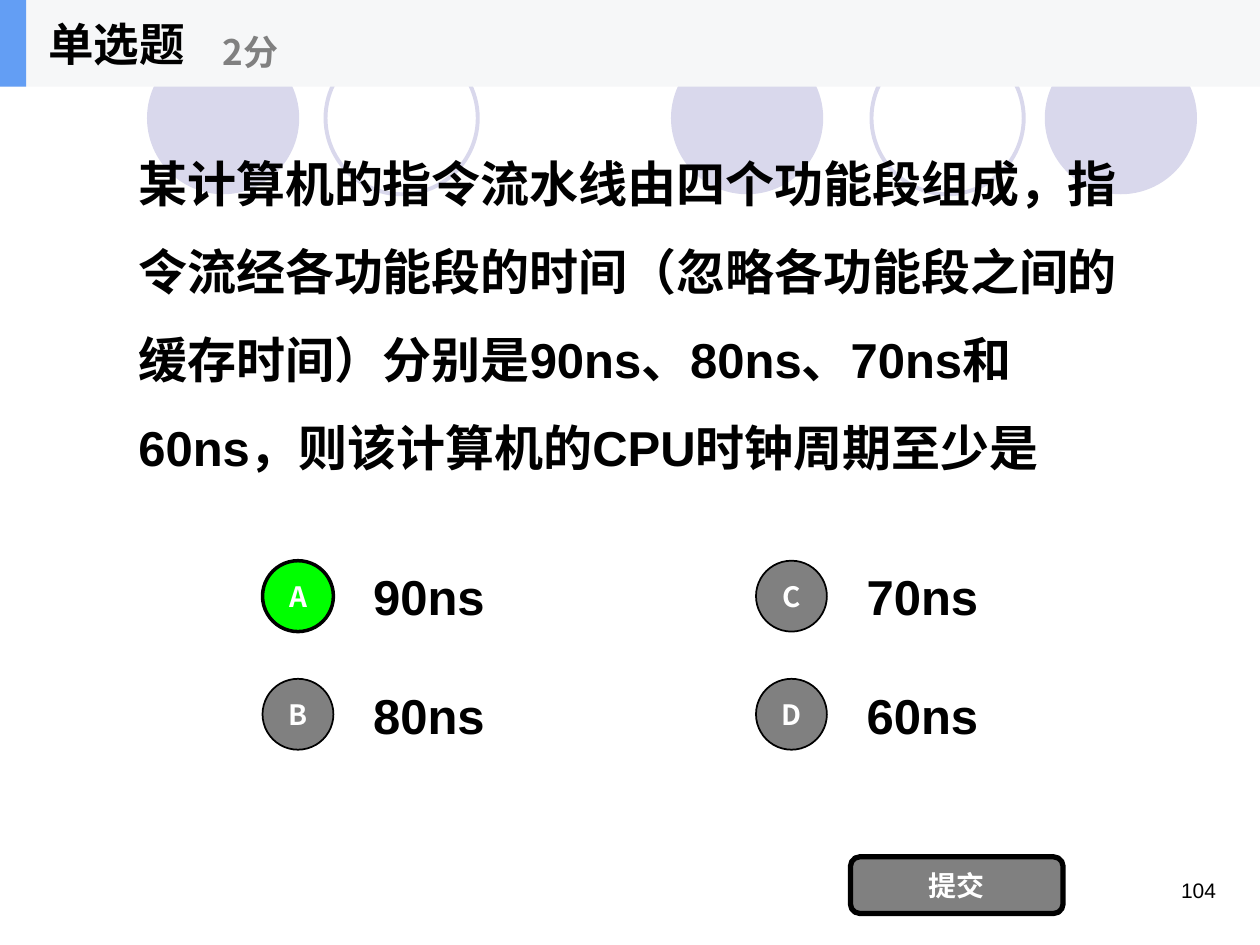
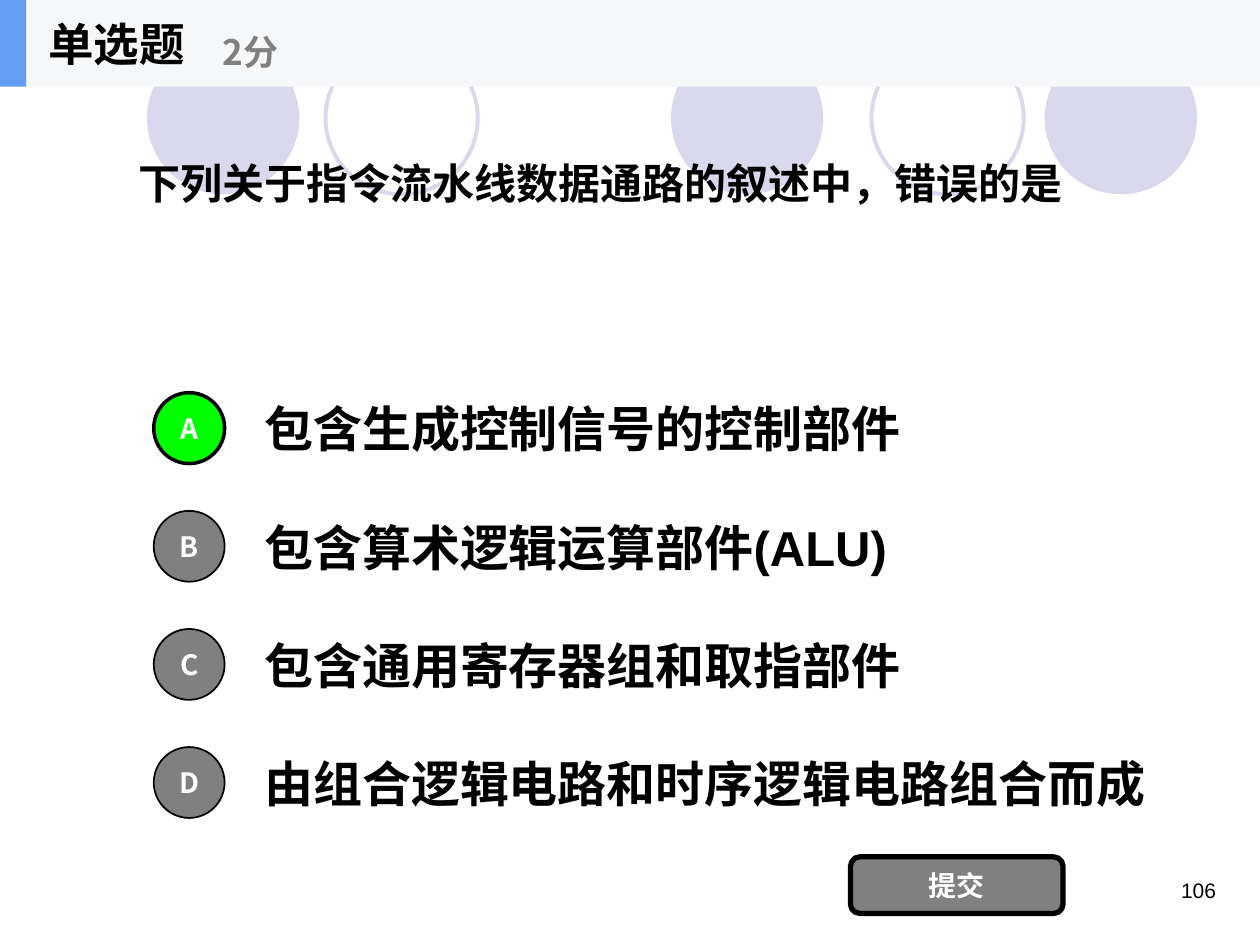
from lxml import etree
from pptx import Presentation
from pptx import util as u
from pptx.dml.color import RGBColor
from pptx.enum import shapes, text
from pptx.oxml.ns import qn

BLACK = RGBColor(0x00, 0x00, 0x00)
WHITE = RGBColor(0xFF, 0xFF, 0xFF)
GRAY = RGBColor(0x80, 0x80, 0x80)
GREEN = RGBColor(0x00, 0xFF, 0x00)
LILAC = RGBColor(0xD9, 0xD8, 0xEC)
BAND = RGBColor(0xF6, 0xF7, 0xF8)
ACCENT = RGBColor(0x63, 0x9E, 0xF4)

LATIN, CJK = "Arial", "Noto Sans CJK SC"
COLS, ROWS = 120, 90
BAND_H = 8.25
BADGE = 6.75
OPTION_STEP = 11.25
LEFT, CENTER, RIGHT = text.PP_ALIGN.LEFT, text.PP_ALIGN.CENTER, text.PP_ALIGN.RIGHT
MIDDLE, TOP = text.MSO_ANCHOR.MIDDLE, text.MSO_ANCHOR.TOP
OVAL = shapes.MSO_SHAPE.OVAL
RECT = shapes.MSO_SHAPE.RECTANGLE
ROUNDED = shapes.MSO_SHAPE.ROUNDED_RECTANGLE


class QuizDeck:
    """Holds the style and the current slide; lengths are grid columns and rows."""

    def __init__(self):
        self.prs = Presentation()
        self.prs.slide_width, self.prs.slide_height = u.Inches(10), u.Inches(7.5)
        self.s = None

    def box(self, x, y, w, h):
        """Turn grid columns and rows into slide lengths."""
        col, row = self.prs.slide_width / COLS, self.prs.slide_height / ROWS
        return [u.Emu(round(n)) for n in (x * col, y * row, w * col, h * row)]

    def set_text(self, sp, words, size, color=BLACK, font=CJK, bold=True,
                 align=LEFT, anchor=MIDDLE, wrap=True, spacing=1.0):
        tf = sp.text_frame
        tf.text = words
        tf.word_wrap = wrap
        tf.auto_size = text.MSO_AUTO_SIZE.NONE
        tf.vertical_anchor = anchor
        p = tf.paragraphs[0]
        p.alignment, p.line_spacing = align, spacing
        for r in p.runs:
            r.font.size, r.font.bold = u.Pt(size), bold
            r.font.color.rgb = color
            r.font.name = font
            etree.SubElement(r.font._element, qn("a:ea"), typeface=CJK)

    def shape(self, kind, at, fill=None, line=None, width=1):
        sp = self.s.shapes.add_shape(kind, *self.box(*at))
        sp.shadow.inherit = False
        for part, color in ((sp.fill, fill), (sp.line.fill, line)):
            if color is None:
                part.background()
            else:
                part.solid()
                part.fore_color.rgb = color
        if line is not None:
            sp.line.width = u.Pt(width)
        return sp

    def label(self, at, words, size, **style):
        self.set_text(self.s.shapes.add_textbox(*self.box(*at)), words, size, **style)

    def circles(self):
        for x in (14, 63.9, 99.5):
            self.shape(OVAL, (x, 4, 14.5, 14.5), fill=LILAC)
        for x in (31, 83):
            self.shape(OVAL, (x, 4, 14.5, 14.5), line=LILAC, width=2.25)

    def header(self, title, points):
        self.shape(RECT, (0, 0, COLS, BAND_H), fill=BAND)
        self.shape(RECT, (0, 0, 2.5, BAND_H), fill=ACCENT)
        sp = self.s.shapes.title
        self.s.shapes._spTree.append(sp._element)  # in front of the band
        sp.left, sp.top, sp.width, sp.height = self.box(3.4, 0, 25, BAND_H)
        self.set_text(sp, title, 26, wrap=False)
        self.label((20, 1.5, 30, 6.75), points, 20, color=GRAY, wrap=False)

    def option(self, x, y, letter, answer, width, correct):
        badge = self.shape(OVAL, (x, y, BADGE, BADGE), GREEN if correct else GRAY,
                           BLACK, 2 if correct else 1)
        self.set_text(badge, letter, 16, color=WHITE, align=CENTER)
        self.label((x + 9.36, y - 0.8, width, 8.4), answer, 28, font=LATIN)

    def options(self, answers, columns, top, width, correct="A"):
        """Fill the columns downwards with lettered answers."""
        per_column = len(answers) // len(columns)
        for i, (letter, answer) in enumerate(zip("ABCD", answers)):
            column, row = divmod(i, per_column)
            self.option(columns[column], top + row * OPTION_STEP,
                        letter, answer, width, letter == correct)

    def submit_button(self):
        sp = self.shape(ROUNDED, (81, 81.6, 20.25, 5.4), GRAY, BLACK, 3)
        self.set_text(sp, "提交", 16, color=WHITE, align=CENTER)

    def question(self, number, stem, stem_top, stem_size, spacing, **options):
        self.s = self.prs.slides.add_slide(self.prs.slide_layouts[5])
        self.circles()
        self.label((89, 83, 28, 6), str(number), 12, font=LATIN, bold=False,
                   align=RIGHT, anchor=TOP)
        self.label((12, stem_top, 96, 28), stem, stem_size, font=LATIN, spacing=spacing)
        self.options(**options)
        self.submit_button()
        self.header("单选题", "2分")


def main():
    deck = QuizDeck()
    deck.question(
        104,
        "某计算机的指令流水线由四个功能段组成，指令流经各功能段的时间"
        "（忽略各功能段之间的缓存时间）分别是90ns、80ns、70ns和60ns，"
        "则该计算机的CPU时钟周期至少是",
        stem_top=14.6, stem_size=28, spacing=1.5,
        answers=["90ns", "80ns", "70ns", "60ns"],
        columns=[25, 72], top=53.4, width=20)
    deck.question(
        106,
        "下列关于指令流水线数据通路的叙述中，错误的是",
        stem_top=3.4, stem_size=24, spacing=1.0,
        answers=["包含生成控制信号的控制部件", "包含算术逻辑运算部件(ALU)",
                 "包含通用寄存器组和取指部件", "由组合逻辑电路和时序逻辑电路组合而成"],
        columns=[14.64], top=37.4, width=90)
    deck.prs.save("out.pptx")


if __name__ == "__main__":
    main()
